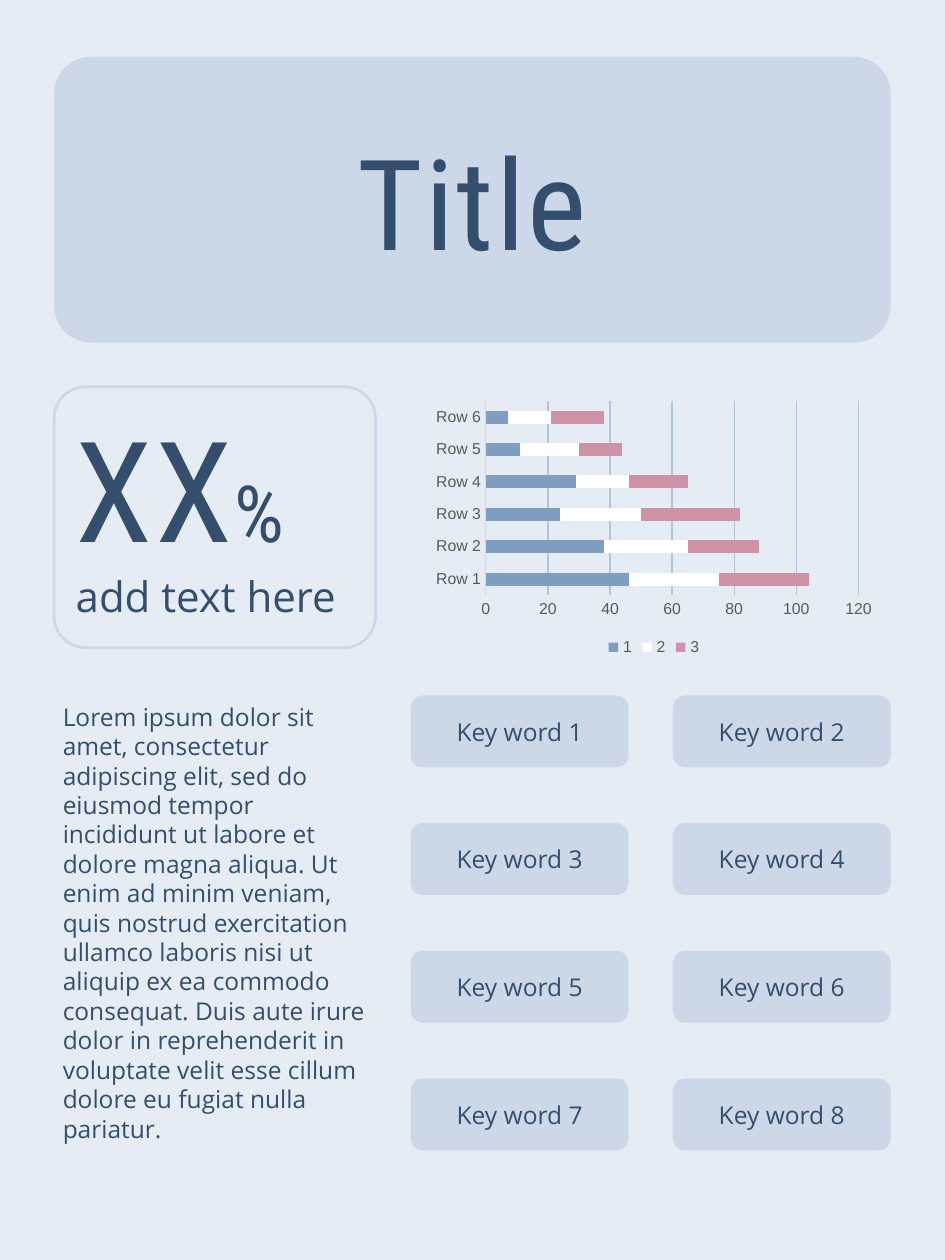
from dataclasses import dataclass
from typing import Optional

import pptx
import pptx.chart.data
import pptx.dml.color
import pptx.enum.chart
import pptx.enum.shapes
import pptx.enum.text
import pptx.util

Inches = pptx.util.Inches
Pt = pptx.util.Pt
RGBColor = pptx.dml.color.RGBColor
PP_ALIGN = pptx.enum.text.PP_ALIGN
MSO_ANCHOR = pptx.enum.text.MSO_ANCHOR

BACKGROUND = RGBColor(0xE6, 0xEC, 0xF3)
PANEL = RGBColor(0xCC, 0xD8, 0xE7)
INK = RGBColor(0x34, 0x4E, 0x6D)
CHART_TEXT = RGBColor(0x59, 0x59, 0x59)
AXIS_LINE = RGBColor(0xD9, 0xD9, 0xD9)
GRID_LINE = RGBColor(0xB3, 0xC5, 0xDA)
BLACK = RGBColor(0x00, 0x00, 0x00)
BLUE = RGBColor(0x80, 0x9E, 0xC2)
WHITE = RGBColor(0xFF, 0xFF, 0xFF)
ROSE = RGBColor(0xD0, 0x92, 0xA7)

HEADING_FONT = "Roboto Condensed"
BODY_FONT = "Open Sans"
CHART_FONT = "Arial"

LOREM = (
    "Lorem ipsum dolor sit amet, consectetur adipiscing elit, sed do eiusmod tempor "
    "incididunt ut labore et dolore magna aliqua. Ut enim ad minim veniam, quis nostrud "
    "exercitation ullamco laboris nisi ut aliquip ex ea commodo consequat. Duis aute irure "
    "dolor in reprehenderit in voluptate velit esse cillum dolore eu fugiat nulla pariatur."
)


@dataclass
class Box:
    left: float
    top: float
    width: float
    height: float

    def lengths(self) -> tuple:
        return tuple(Inches(n) for n in (self.left, self.top, self.width, self.height))


@dataclass
class Series:
    name: str
    values: tuple
    color: RGBColor


ROWS = [f"Row {number}" for number in range(1, 7)]
SERIES = [
    Series("1", (46, 38, 24, 29, 11, 7), BLUE),
    Series("2", (29, 27, 26, 17, 19, 14), WHITE),
    Series("3", (29, 23, 32, 19, 14, 17), ROSE),
]


def add_text(paragraph, text: str, *, size: float, font: str = BODY_FONT,
             align: PP_ALIGN = PP_ALIGN.LEFT, spacing: float = 0) -> None:
    """Append a run; spacing is the letter spacing in points."""
    paragraph.alignment = align
    run = paragraph.add_run()
    run.text = text
    run.font.size = Pt(size)
    run.font.name = font
    run.font.color.rgb = INK
    if spacing:
        run._r.get_or_add_rPr().set("spc", str(round(spacing * 100)))


def add_panel(slide, box: Box, corner: float, *, filled: bool = True,
              anchor: MSO_ANCHOR = MSO_ANCHOR.MIDDLE):
    shape = slide.shapes.add_shape(
        pptx.enum.shapes.MSO_SHAPE.ROUNDED_RECTANGLE, *box.lengths())
    shape.adjustments[0] = corner
    shape.shadow.inherit = False
    if filled:
        shape.fill.solid()
        shape.fill.fore_color.rgb = PANEL
        shape.line.fill.background()
    else:
        shape.fill.background()
        shape.line.color.rgb = PANEL
        shape.line.width = Pt(1.5)
    shape.text_frame.word_wrap = True
    shape.text_frame.vertical_anchor = anchor
    return shape


def format_chart_font(font, size: float, color: Optional[RGBColor] = None) -> None:
    font.name = CHART_FONT
    font.size = Pt(size)
    font.color.rgb = color or CHART_TEXT


def add_bar_chart(slide, box: Box) -> None:
    data = pptx.chart.data.CategoryChartData()
    data.categories = ROWS
    for series in SERIES:
        data.add_series(series.name, series.values)
    chart = slide.shapes.add_chart(
        pptx.enum.chart.XL_CHART_TYPE.BAR_STACKED, *box.lengths(), data).chart
    format_chart_font(chart.font, 10, BLACK)
    chart.has_title = False

    # Bars
    plot = chart.plots[0]
    plot.gap_width = 150
    plot.overlap = 100
    plot.vary_by_categories = False
    for drawn, series in zip(plot.series, SERIES):
        drawn.format.fill.solid()
        drawn.format.fill.fore_color.rgb = series.color

    # Axes
    for axis in (chart.category_axis, chart.value_axis):
        axis.major_tick_mark = pptx.enum.chart.XL_TICK_MARK.NONE
        axis.minor_tick_mark = pptx.enum.chart.XL_TICK_MARK.NONE
        format_chart_font(axis.tick_labels.font, 9)
    chart.category_axis.format.line.color.rgb = AXIS_LINE
    chart.category_axis.format.line.width = Pt(0.75)
    chart.value_axis.format.line.fill.background()
    grid = chart.value_axis.major_gridlines.format.line
    grid.color.rgb = GRID_LINE
    grid.width = Pt(0.75)

    # Legend
    chart.has_legend = True
    chart.legend.position = pptx.enum.chart.XL_LEGEND_POSITION.BOTTOM
    chart.legend.include_in_layout = False
    format_chart_font(chart.legend.font, 9)


def main() -> None:
    presentation = pptx.Presentation()
    presentation.slide_width = Inches(7.5)
    presentation.slide_height = Inches(10)
    slide = presentation.slides.add_slide(presentation.slide_layouts[6])
    slide.background.fill.solid()
    slide.background.fill.fore_color.rgb = BACKGROUND

    # Title banner
    banner = add_panel(slide, Box(0.43, 0.45, 6.64, 2.27), 0.13)
    add_text(banner.text_frame.paragraphs[0], "Title", size=72, font=HEADING_FONT,
             align=PP_ALIGN.CENTER, spacing=1.4)

    # Headline figure
    figure = add_panel(slide, Box(0.43, 3.07, 2.55, 2.07), 0.12,
                       filled=False, anchor=MSO_ANCHOR.TOP)
    percentage = figure.text_frame.paragraphs[0]
    for text, size in (("XX", 80), ("%", 45)):
        add_text(percentage, text, size=size, font=HEADING_FONT, spacing=1.4)
    add_text(figure.text_frame.add_paragraph(), "add text here", size=24)

    add_bar_chart(slide, Box(3.39, 3.14, 3.6, 2.11))

    # Body text
    body = slide.shapes.add_textbox(*Box(0.4, 5.52, 2.6, 3.6).lengths())
    body.text_frame.word_wrap = True
    add_text(body.text_frame.paragraphs[0], LOREM, size=14)

    # Key word grid
    row_pitch = (8.56 - 5.52) / 3
    for index in range(8):
        row, column = divmod(index, 2)
        box = Box(3.26 + 2.08 * column, 5.52 + row_pitch * row, 1.73, 0.57)
        key_word = add_panel(slide, box, 0.17)
        add_text(key_word.text_frame.paragraphs[0], f"Key word {index + 1}", size=14,
                 align=PP_ALIGN.CENTER)

    presentation.save("out.pptx")


if __name__ == "__main__":
    main()
